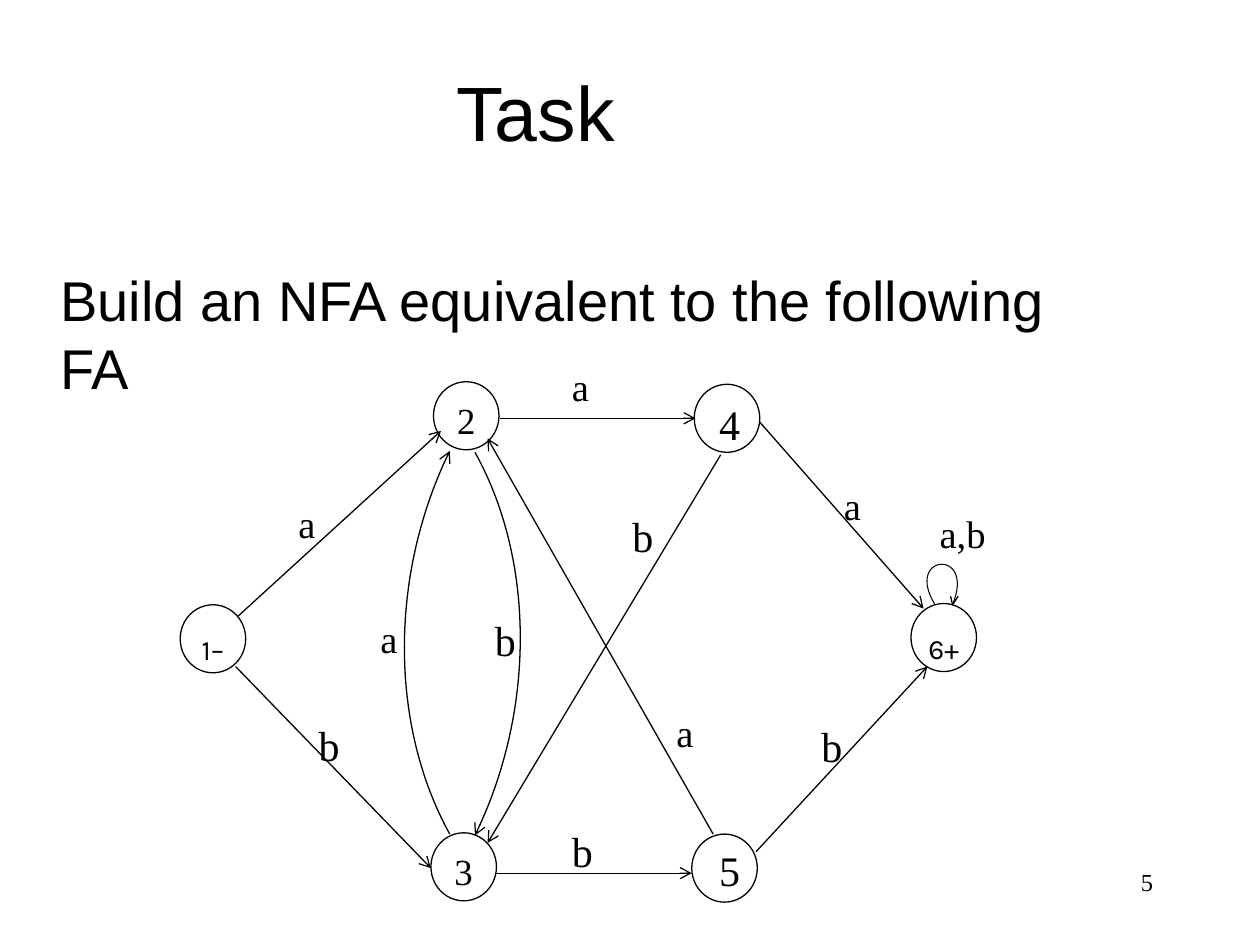
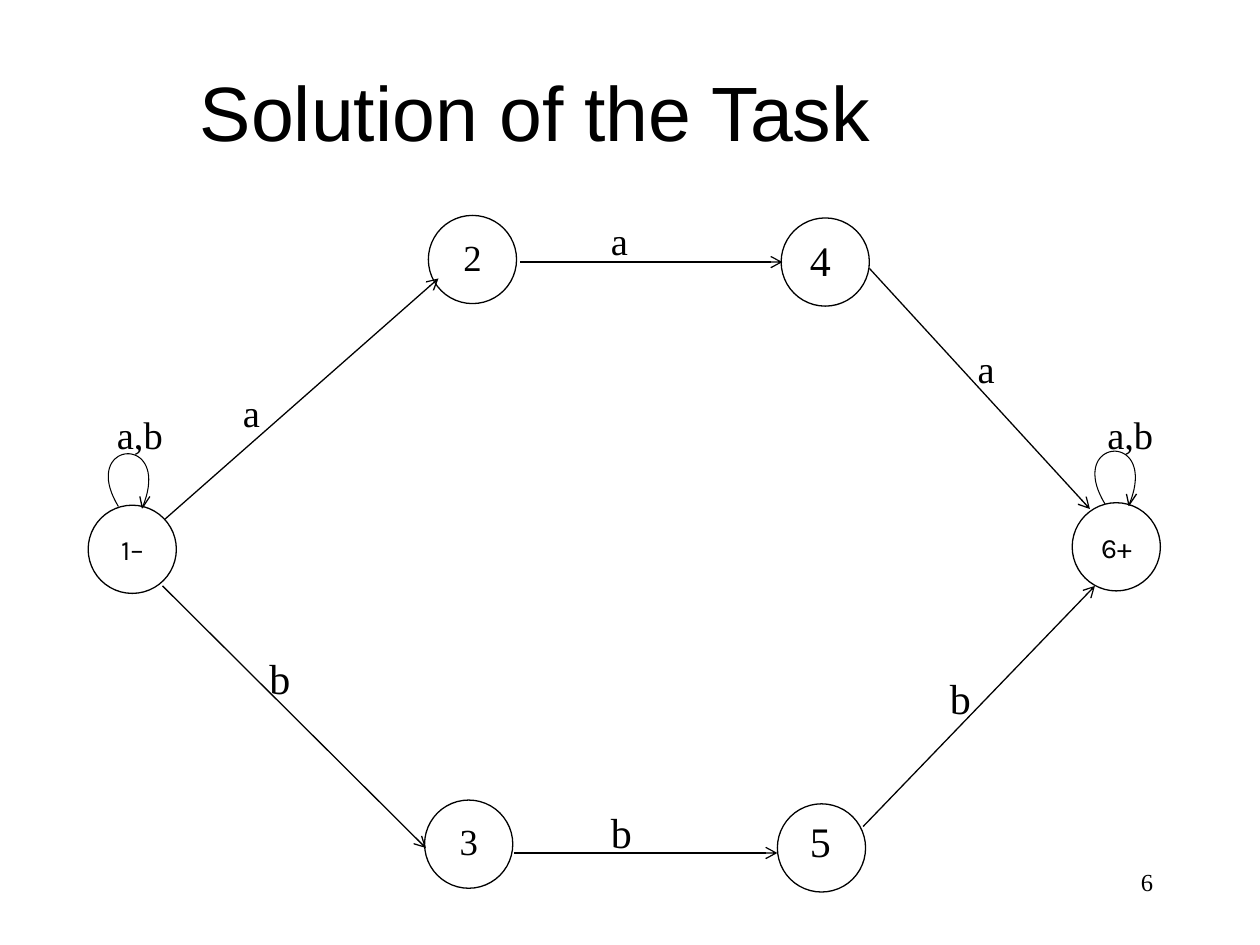
import pptx
import pptx.util
import pptx.dml.color
import pptx.enum.shapes
import pptx.enum.text
import pptx.oxml.ns
import lxml.etree

Inches = pptx.util.Inches
Align = pptx.enum.text.PP_ALIGN
Anchor = pptx.enum.text.MSO_ANCHOR

COLORS = {"ink": "000000", "paper": "FFFFFF"}
HEADING, SERIF, MARK = "Arial", "Times New Roman", "Karla"
LABEL_SIZES = {"b": 24, "4": 24, "5": 24}  # every other label is 22 points
CURVE_STEPS = 40


def color(name):
    """Return the palette colour as an RGBColor."""
    return pptx.dml.color.RGBColor.from_string(COLORS[name])


def add_xml(parent, tag, **attributes):
    """Append a DrawingML element to a parent element."""
    return lxml.etree.SubElement(parent, pptx.oxml.ns.qn(tag), **attributes)


def write_text(shape, text, font=SERIF, size=22, align=Align.LEFT, anchor=Anchor.TOP):
    """Put one formatted paragraph into a shape and return the paragraph."""
    frame = shape.text_frame
    frame.word_wrap = True
    frame.auto_size = pptx.enum.text.MSO_AUTO_SIZE.NONE
    frame.vertical_anchor = anchor
    paragraph = frame.paragraphs[0]
    paragraph.alignment = align
    run = paragraph.add_run()
    run.text = text
    run.font.name = font
    run.font.size = pptx.util.Pt(size)
    run.font.color.rgb = color("ink")
    return paragraph


def bezier(start, control1, control2, end):
    """Return points along a cubic curve, in inches."""
    points = []
    for step in range(CURVE_STEPS + 1):
        t = step / CURVE_STEPS
        weights = ((1 - t) ** 3, 3 * t * (1 - t) ** 2, 3 * t * t * (1 - t), t ** 3)
        corners = (start, control1, control2, end)
        points.append(tuple(sum(w * corner[axis] for w, corner in zip(weights, corners))
                            for axis in (0, 1)))
    return points


class Deck:
    """Hold the presentation, its style and the current slide."""

    def __init__(self):
        self.presentation = pptx.Presentation()
        self.presentation.slide_width = Inches(10)
        self.presentation.slide_height = Inches(7.5)
        self.slide = None

    def new_slide(self, layout, title, number, state_size, label_size):
        """Start a slide with its title, page number and diagram sizes."""
        self.slide = self.presentation.slides.add_slide(
            self.presentation.slide_layouts[layout])
        self.state_size, self.label_size = state_size, label_size
        background = self.slide.background.fill
        background.solid()
        background.fore_color.rgb = color("paper")
        self.place(self.slide.shapes.title, 0, 0.25, 8.5, 1.25)
        write_text(self.slide.shapes.title, title, font=HEADING, size=44,
                   align=Align.CENTER, anchor=Anchor.MIDDLE)
        self.text_box(str(number), 7.17, 6.83, 2.08, 0.5, size=14, align=Align.RIGHT)

    def place(self, shape, left, top, width, height):
        """Move and size a shape, in inches."""
        shape.left, shape.top = Inches(left), Inches(top)
        shape.width, shape.height = Inches(width), Inches(height)

    def body(self, text):
        """Fill the body placeholder with an unbulleted paragraph."""
        placeholder = self.slide.placeholders[1]
        self.place(placeholder, 0, 2.06, 8.94, 4.56)
        paragraph = write_text(placeholder, text, font=HEADING, size=32)
        paragraph.space_before = pptx.util.Pt(8)
        properties = paragraph._p.get_or_add_pPr()
        properties.set("marL", str(Inches(0.38)))
        properties.set("indent", "0")
        add_xml(properties, "a:buNone")

    def text_box(self, text, left, top, width, height, **text_format):
        """Add a text box."""
        box = self.slide.shapes.add_textbox(
            Inches(left), Inches(top), Inches(width), Inches(height))
        write_text(box, text, **text_format)

    def label(self, text, left, top):
        """Add a letter beside an edge, or a digit over a state."""
        self.text_box(text, left, top, *self.label_size, size=LABEL_SIZES.get(text, 22))

    def state(self, left, top, text=None):
        """Add a state circle, with its number if that is centred inside."""
        circle = self.slide.shapes.add_shape(
            pptx.enum.shapes.MSO_SHAPE.OVAL, Inches(left), Inches(top),
            *map(Inches, self.state_size))
        circle.shadow.inherit = False
        circle.fill.solid()
        circle.fill.fore_color.rgb = color("paper")
        self.stroke(circle)
        if text:
            write_text(circle, text, size=21, align=Align.CENTER)

    def end_state(self, left, top, text):
        """Add the start or final state, with its mark low in the circle."""
        self.state(left, top)
        width, height = self.label_size
        self.text_box(text, left - (width - self.state_size[0]) / 2, top + 0.17,
                      width, height, font=MARK, size=16, align=Align.CENTER)

    def stroke(self, shape, width=0.75, arrow=False):
        """Set an outline, with an open arrowhead at its end if wanted."""
        shape.line.color.rgb = color("ink")
        shape.line.width = pptx.util.Pt(width)
        if arrow:
            add_xml(shape.line._get_or_add_ln(), "a:tailEnd", type="arrow")

    def edge(self, start, end):
        """Add a straight arrow."""
        connector = self.slide.shapes.add_connector(
            pptx.enum.shapes.MSO_CONNECTOR.STRAIGHT, *map(Inches, start + end))
        self.stroke(connector, arrow=True)
        add_xml(connector._element.spPr, "a:effectLst")

    def outline(self, points, **line_format):
        """Add an open, unfilled outline through points in inches."""
        points = [(Inches(x), Inches(y)) for x, y in points]
        builder = self.slide.shapes.build_freeform(*points[0])
        builder.add_line_segments(points[1:], close=False)
        shape = builder.convert_to_shape()
        shape.shadow.inherit = False
        shape.fill.background()
        self.stroke(shape, **line_format)

    def loop(self, x, y, scale=1.0):
        """Add a loop from a state to itself, with its arrow tip at x, y."""
        def around_tip(*offsets):
            return [(x + dx * scale, y + dy * scale) for dx, dy in offsets]

        curve = around_tip((-0.19, -0.01), (-0.51, -0.54), (0.25, -0.6), (0, 0))
        self.outline(bezier(*curve), width=0.6)
        self.outline(around_tip((-0.02, -0.09), (0, 0), (0.06, -0.09)))

    def diagram(self, end_states, states, edges, labels):
        """Draw the states, arrows and letters of an automaton."""
        for text, left, top in end_states:
            self.end_state(left, top, text)
        for text, left, top in states:
            self.state(left, top, text)
        for start, end in edges:
            self.edge(start, end)
        for text, left, top in labels:
            self.label(text, left, top)


deck = Deck()

deck.new_slide(1, "Task", 5, state_size=(0.52, 0.54), label_size=(0.73, 0.51))
deck.body("Build an NFA equivalent to the following FA")
deck.diagram(
    end_states=[("1–", 1.43, 4.8), ("6+", 7.23, 4.79)],
    states=[("2", 3.44, 3.03), ("3", 3.42, 6.61), (None, 5.51, 3.05), (None, 5.49, 6.62)],
    edges=[
        ((3.97, 3.32), (5.52, 3.32)),
        ((3.94, 6.93), (5.49, 6.93)),
        ((1.89, 4.89), (3.5, 3.42)),
        ((1.87, 5.29), (3.42, 6.89)),
        ((6, 6.76), (7.36, 5.29)),
        ((6.03, 3.35), (7.33, 4.83)),
        ((5.66, 6.62), (3.87, 3.48)),
        ((5.72, 3.61), (3.87, 6.69)),
    ],
    labels=[
        ("4", 5.61, 3.11), ("5", 5.61, 6.65),
        ("a", 2.27, 3.92), ("a", 4.44, 2.83), ("a", 6.6, 3.78), ("a", 2.92, 4.83),
        ("a", 5.27, 5.58), ("a,b", 7.36, 4),
        ("b", 2.43, 5.66), ("b", 4.44, 6.5), ("b", 6.42, 5.67), ("b", 3.83, 4.83),
        ("b", 4.92, 4),
    ])
deck.outline(bezier((3.77, 3.59), (4.25, 4.45), (4.25, 5.65), (3.77, 6.63)), arrow=True)
deck.outline(bezier((3.57, 6.62), (3.09, 5.75), (3.09, 4.56), (3.57, 3.58)), arrow=True)
deck.loop(7.56, 4.8, scale=0.75)

deck.new_slide(5, "Solution of the Task", 6, state_size=(0.7, 0.7), label_size=(0.98, 0.67))
deck.diagram(
    end_states=[("1–", 0.7, 4.01), ("6+", 8.51, 3.99)],
    states=[("2", 3.4, 1.71), ("3", 3.37, 6.35), (None, 6.2, 1.73), (None, 6.17, 6.38)],
    edges=[
        ((4.13, 2.08), (6.21, 2.08)),
        ((4.08, 6.77), (6.17, 6.77)),
        ((1.31, 4.12), (3.48, 2.21)),
        ((1.29, 4.65), (3.38, 6.73)),
        ((6.85, 6.56), (8.69, 4.65)),
        ((6.9, 2.13), (8.65, 4.04)),
    ],
    labels=[
        ("4", 6.33, 1.81), ("5", 6.33, 6.42),
        ("a", 1.83, 3.04), ("a", 4.75, 1.67), ("a", 7.66, 2.69),
        ("a,b", 0.83, 3.21), ("a,b", 8.69, 3.21),
        ("b", 2.04, 5.13), ("b", 4.75, 6.35), ("b", 7.44, 5.29),
    ])
deck.loop(1.13, 4.03)
deck.loop(8.96, 4.01)

deck.presentation.save("out.pptx")
